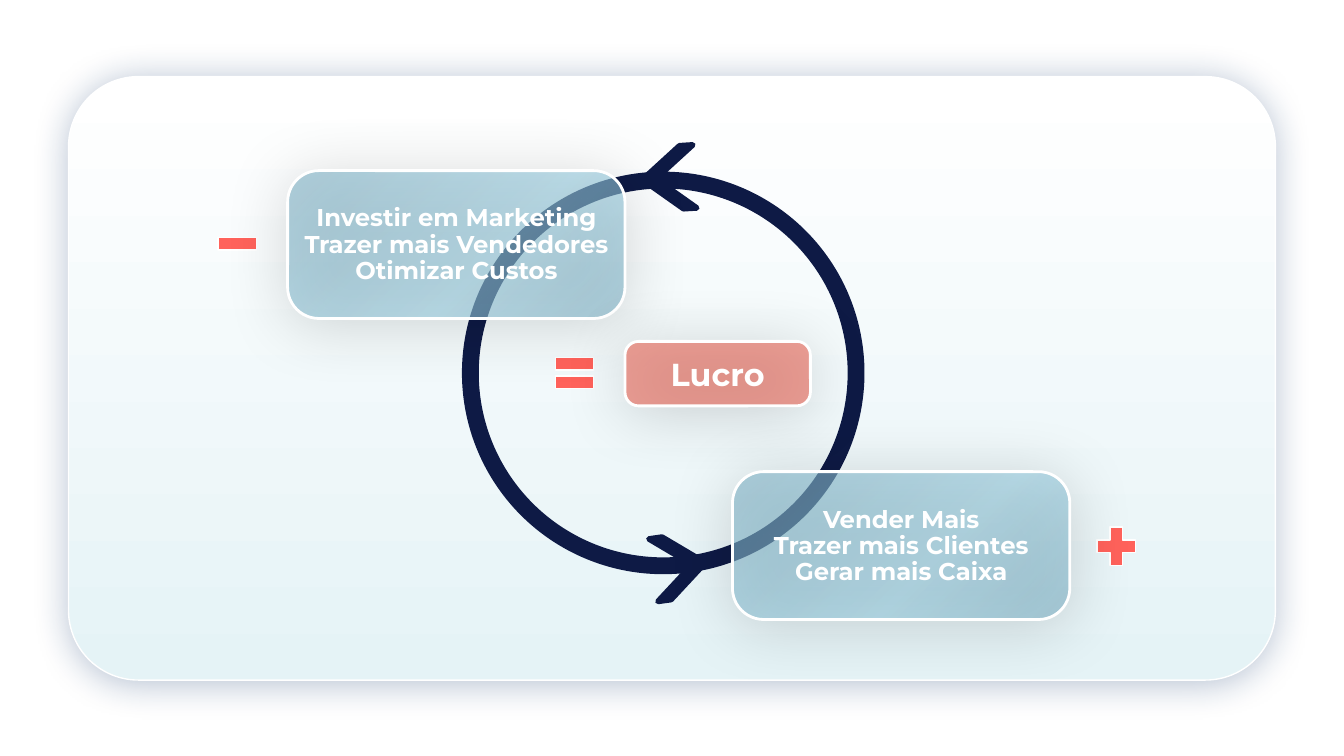
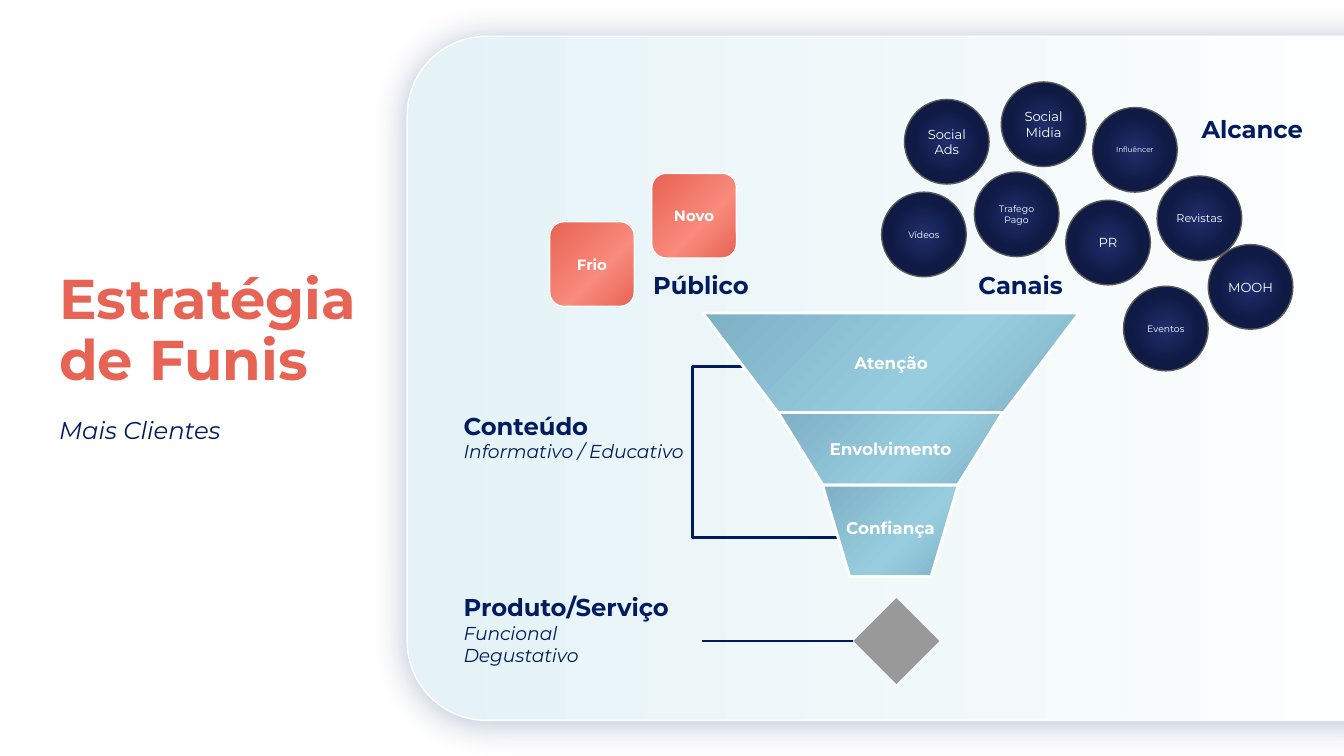
from dataclasses import dataclass
from typing import NamedTuple, Optional

from lxml import etree
from pptx import Presentation
from pptx.dml.color import RGBColor
from pptx.enum.shapes import MSO_CONNECTOR, MSO_SHAPE as Kind
from pptx.enum.text import MSO_ANCHOR as Anchor, PP_ALIGN as Align
from pptx.oxml import parse_xml
from pptx.oxml.ns import qn
from pptx.util import Emu, Pt

# Shared scale and colours: 100 px to the inch
SCALE = 9144
FONT = "Montserrat"
NS = "http://schemas.openxmlformats.org/drawingml/2006/main"
WHITE, NAVY, INK = "FFFFFF", "001C5E", "0E1A45"
CORAL, RED, GREY = "E76353", "FF625B", "999999"


class Fill(NamedTuple):
    stops: tuple
    angle: Optional[int] = None  # None on several stops means radial
    alpha: int = 100


class Shade(NamedTuple):
    color: str
    alpha: int
    blur: float
    dist: float


class Face(NamedTuple):
    size: int
    color: str = WHITE
    bold: bool = True
    italic: bool = False


class Pen(NamedTuple):
    color: str
    width: float


@dataclass
class Box:
    kind: Kind
    x: int
    y: int
    w: int
    h: int
    fill: Optional[Fill] = None
    pen: Optional[Pen] = None
    adj: Optional[float] = None
    shade: Optional[Shade] = None
    turn: float = 0


@dataclass
class Note:
    x: int
    y: int
    w: int
    h: int
    text: str
    face: Face
    sub: Optional[Face] = None
    align: Align = Align.LEFT
    anchor: Anchor = Anchor.TOP
    inset: int = 5
    space: float = 1.0


def solid(color: str, alpha: int = 100) -> Fill:
    return Fill(((0, color),), alpha=alpha)


def sheen(edge: str, mid: str, alpha: int = 100) -> Fill:
    return Fill(((0, edge), (40, mid), (100, edge)), 225, alpha)


def fade(angle: int) -> Fill:
    return Fill(((0, WHITE), (100, "E5F3F6")), angle)


BLUE = ("7EB1C5", "98CCDF")
ORB = Fill(((0, "212F6C"), (56, "0F1A45"), (100, "0F1A45")))
THIN, THICK = Pen(WHITE, 0.75), Pen(WHITE, 1.5)
GLOW = Shade("163A6F", 31, 19.1, 1.5)
DROP = Shade("000000", 24, 34.9, 3)
HEAD = Face(13, NAVY)
SLANT = Face(10, NAVY, False, True)


# Drawing helpers
def px(n: int) -> Emu:
    return Emu(n * SCALE)


def rgb(color: str) -> RGBColor:
    return RGBColor.from_string(color)


def tint(color: str, alpha: int) -> str:
    return (f'<a:srgbClr val="{rgb(color)}">'
            f'<a:alpha val="{alpha * 1000}"/></a:srgbClr>')


def paint(shape, fill: Fill) -> None:
    if len(fill.stops) == 1:
        xml = (f'<a:solidFill xmlns:a="{NS}">'
               f'{tint(fill.stops[0][1], fill.alpha)}</a:solidFill>')
    else:
        stops = "".join(f'<a:gs pos="{pos * 1000}">{tint(color, fill.alpha)}</a:gs>'
                        for pos, color in fill.stops)
        if fill.angle is None:
            way = ('<a:path path="circle"><a:fillToRect l="50000" t="50000" '
                   'r="50000" b="50000"/></a:path>')
        else:
            way = f'<a:lin ang="{fill.angle * 60000}" scaled="0"/>'
        xml = (f'<a:gradFill xmlns:a="{NS}" rotWithShape="1">'
               f'<a:gsLst>{stops}</a:gsLst>{way}</a:gradFill>')
    shape.element.spPr.find(qn("a:prstGeom")).addnext(parse_xml(xml))


def cast(shape, shade: Shade) -> None:
    xml = (f'<a:outerShdw xmlns:a="{NS}" blurRad="{Pt(shade.blur)}" '
           f'dist="{Pt(shade.dist)}" dir="5400000" algn="t" rotWithShape="0">'
           f'{tint(shade.color, shade.alpha)}</a:outerShdw>')
    shape.element.spPr.find(qn("a:effectLst")).append(parse_xml(xml))


def ink(line, pen: Pen) -> None:
    line.color.rgb = rgb(pen.color)
    line.width = Pt(pen.width)


def draw(slide, box: Box):
    shape = slide.shapes.add_shape(box.kind, *map(px, (box.x, box.y, box.w, box.h)))
    shape.rotation = box.turn
    if box.adj is not None:
        shape.adjustments[0] = box.adj
    if box.fill:
        paint(shape, box.fill)
    else:
        shape.fill.background()
    if box.pen:
        ink(shape.line, box.pen)
    else:
        shape.line.fill.background()
    shape.shadow.inherit = False
    if box.shade:
        cast(shape, box.shade)
    return shape


def write(shape, text: str, face: Face, sub: Optional[Face] = None,
          align: Align = Align.CENTER, anchor: Anchor = Anchor.MIDDLE,
          inset: int = 0, space: float = 1.0) -> None:
    frame = shape.text_frame
    frame.word_wrap = True
    frame.vertical_anchor = anchor
    frame.margin_left = frame.margin_right = px(inset)
    frame.margin_top = frame.margin_bottom = px(inset)
    for i, line in enumerate(text.split("\n")):
        para = frame.add_paragraph() if i else frame.paragraphs[0]
        para.text = line
        para.alignment = align
        para.line_spacing = space
        look = sub if i and sub else face
        font = para.font
        font.name, font.size = FONT, Pt(look.size)
        font.bold, font.italic = look.bold, look.italic
        font.color.rgb = rgb(look.color)


def put(slide, note: Note) -> None:
    shape = slide.shapes.add_textbox(*map(px, (note.x, note.y, note.w, note.h)))
    write(shape, note.text, note.face, note.sub, note.align, note.anchor,
          note.inset, note.space)


def panel(slide, x: int, y: int, w: int, h: int, angle: int) -> None:
    draw(slide, Box(Kind.ROUNDED_RECTANGLE, x, y, w, h, fade(angle), THIN, 0.116, GLOW))


# Slide 1: profit cycle
def cycle(slide) -> None:
    panel(slide, 51, 57, 898, 449, 90)
    draw(slide, Box(Kind.OVAL, 350, 134, 287, 287, pen=Pen(INK, 9)))
    for x, y, turn in ((478, 109, 176.4), (486, 398, 351.8)):
        draw(slide, Box(Kind.CHEVRON, x, y, 39, 47, solid(INK), Pen(INK, 3),
                        0.747, turn=turn))
    for kind, x, y in ((Kind.MATH_PLUS, 811, 387), (Kind.MATH_MINUS, 157, 162),
                       (Kind.MATH_EQUAL, 408, 258)):
        draw(slide, Box(kind, x, y, 39, 39, solid(RED), THIN))

    def card(x: int, y: int, w: int, h: int, fill: Fill):
        return draw(slide, Box(Kind.ROUNDED_RECTANGLE, x, y, w, h, fill, THICK,
                               0.211, DROP))

    steps = (
        (214, 127, "Investir em Marketing\nTrazer mais Vendedores\nOtimizar Custos"),
        (545, 351, "Vender Mais\nTrazer mais Clientes\nGerar mais Caixa"),
    )
    for x, y, text in steps:
        card(x, y, 251, 110, sheen(*BLUE, 60))
        put(slide, Note(x, y + 21, 251, 69, text, Face(13), align=Align.CENTER,
                        anchor=Anchor.MIDDLE, space=0.9))
    write(card(465, 254, 138, 48, solid(CORAL, 60)), "Lucro", Face(17))


# Slide 2: funnel strategy
def funnel(slide) -> None:
    panel(slide, 303, 27, 774, 509, 180)
    draw(slide, Box(Kind.RECTANGLE, 515, 273, 135, 127, pen=Pen(NAVY, 1.5)))

    # Funnel stages
    for x, y, w, h, text in ((523, 233, 280, 74, "Atenção"),
                             (579, 307, 167, 54, "Envolvimento"),
                             (612, 361, 101, 68, "")):
        stage = draw(slide, Box(Kind.FLOWCHART_MANUAL_OPERATION, x, y, w, h,
                                sheen(*BLUE), THICK))
        if text:
            write(stage, text, Face(9))
    put(slide, Note(613, 378, 99, 35, "Confiança", Face(9),
                    align=Align.CENTER, inset=10))

    # Channels
    for x, y, size, text in (
        (673, 74, 7, "Social\nAds"), (725, 128, 5, "Trafego\nPago"),
        (793, 149, 7, "PR"), (836, 213, 5, "Eventos"),
        (745, 61, 7, "Social\nMidia"), (813, 80, 4, "Influêncer"),
        (656, 143, 5, "Vídeos"), (861, 131, 6, "Revistas"),
        (899, 182, 7, "MOOH"),
    ):
        orb = draw(slide, Box(Kind.OVAL, x, y, 63, 63, ORB, Pen("595959", 0.75)))
        write(orb, text, Face(size, bold=False))

    # Audience
    for x, y, text in ((485, 129, "Novo"), (409, 165, "Frio")):
        tile = draw(slide, Box(Kind.ROUNDED_RECTANGLE, x, y, 63, 63,
                               sheen(CORAL, "F98A7C"), THIN, 0.167))
        write(tile, text, Face(8))

    # Headings
    for x, y, w, h, text in (
        (340, 436, 183, 66, "Produto/Serviço\nFuncional\nDegustativo"),
        (340, 301, 196, 49, "Conteúdo\nInformativo / Educativo"),
        (723, 196, 79, 32, "Canais"),
        (481, 196, 87, 32, "Público"),
        (889, 80, 99, 32, "Alcance"),
    ):
        put(slide, Note(x, y, w, h, text, HEAD, SLANT))

    # Product
    gem = draw(slide, Box(Kind.DIAMOND, 635, 445, 64, 64, solid(GREY)))
    link = slide.shapes.add_connector(MSO_CONNECTOR.STRAIGHT,
                                      *map(px, (522, 477, 635, 477)))
    link.end_connect(gem, 1)
    ink(link.line, Pen(NAVY, 1.5))
    etree.SubElement(link.element.spPr, qn("a:effectLst"))

    # Title
    put(slide, Note(44, 213, 288, 68, "Estratégia\nde Funis", Face(30, CORAL),
                    anchor=Anchor.MIDDLE, inset=0, space=0.9))
    put(slide, Note(44, 307, 333, 22, "Mais Clientes", Face(13, NAVY, False, True),
                    inset=0, space=1.1))


def main() -> None:
    deck = Presentation()
    deck.slide_width = px(1000)
    deck.slide_height = Emu(px(1000) * 9 // 16)
    for build in (cycle, funnel):
        build(deck.slides.add_slide(deck.slide_layouts[6]))
    deck.save("out.pptx")


if __name__ == "__main__":
    main()
